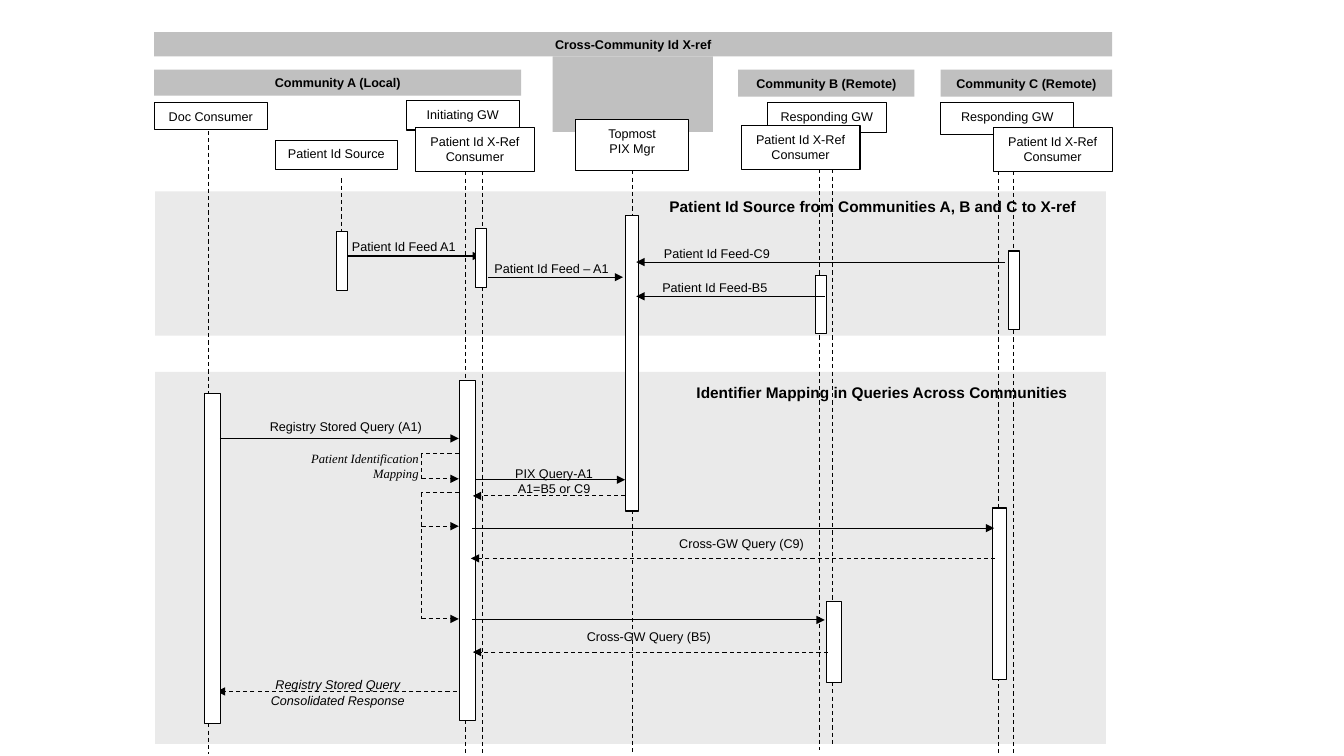
from dataclasses import dataclass

from lxml import etree
from pptx import Presentation
from pptx.dml.color import RGBColor
from pptx.enum.dml import MSO_LINE
from pptx.enum.shapes import MSO_CONNECTOR, MSO_SHAPE
from pptx.enum.text import MSO_ANCHOR, PP_ALIGN
from pptx.oxml.ns import qn
from pptx.util import Pt

RECT = MSO_SHAPE.RECTANGLE
STRAIGHT = MSO_CONNECTOR.STRAIGHT
DASH = MSO_LINE.DASH
TOP, MIDDLE = MSO_ANCHOR.TOP, MSO_ANCHOR.MIDDLE
CENTER, RIGHT = PP_ALIGN.CENTER, PP_ALIGN.RIGHT
BOTTOM = 2  # connection site of a rectangle
PX = 9144  # 100 px to the inch


@dataclass(frozen=True)
class Theme:
    ink: RGBColor = RGBColor(0, 0, 0)
    paper: RGBColor = RGBColor(255, 255, 255)
    band: RGBColor = RGBColor(0xC0, 0xC0, 0xC0)
    zone: RGBColor = RGBColor(0xEA, 0xEA, 0xEA)
    sans: str = "Arial"
    serif: str = "Times New Roman"
    small: Pt = Pt(9)
    title: Pt = Pt(11)
    line: Pt = Pt(0.75)


THEME = Theme()


def px(*sizes):
    return [size * PX for size in sizes]


def write(shape, text, size=THEME.small, face=THEME.sans, bold=False,
          slant=False, align=CENTER, anchor=TOP):
    frame = shape.text_frame
    frame.word_wrap = True
    frame.vertical_anchor = anchor
    frame.margin_left, frame.margin_right = px(10, 10)
    frame.margin_top, frame.margin_bottom = px(6, 0) if anchor == TOP else (0, 0)
    for index, words in enumerate(text.split("\n")):
        para = frame.add_paragraph() if index else frame.paragraphs[0]
        para.alignment = align
        run = para.add_run()
        run.text = words
        font = run.font
        font.size, font.name = size, face
        font.bold, font.italic = bold, slant
        font.color.rgb = THEME.ink


def block(slide, place, fill, edge=False):
    shape = slide.shapes.add_shape(RECT, *px(*place))
    shape.shadow.inherit = False
    shape.fill.solid()
    shape.fill.fore_color.rgb = fill
    if edge:
        shape.line.color.rgb = THEME.ink
        shape.line.width = THEME.line
    else:
        shape.line.fill.background()
    return shape


def band(slide, text, *place):
    write(block(slide, place, THEME.band), text, bold=True, anchor=MIDDLE)


def box(slide, text, *place):
    shape = block(slide, place, THEME.paper, edge=True)
    write(shape, text)
    return shape


def label(slide, text, *place, **style):
    write(slide.shapes.add_textbox(*px(*place)), text, **style)


def stroke(slide, x1, y1, x2, y2, dashed=False, arrow=False):
    line = slide.shapes.add_connector(STRAIGHT, *px(x1, y1, x2, y2))
    line.line.color.rgb = THEME.ink
    line.line.width = THEME.line
    if dashed:
        line.line.dash_style = DASH
    if arrow:
        outline = line.line._get_or_add_ln()
        etree.SubElement(outline, qn("a:tailEnd"), type="triangle")
    etree.SubElement(line._element.spPr, qn("a:effectLst"))
    return line


def message(slide, start, end, y, dashed=False):
    stroke(slide, start, y, end, y, dashed, arrow=True)


def loop(slide, top, *ends):
    left, right = 418, 455
    stroke(slide, right, top, left, top, dashed=True)
    for end in ends:
        stroke(slide, left, top, left, end, dashed=True)
        message(slide, left, right, end, dashed=True)


def main():
    deck = Presentation()
    deck.slide_width, deck.slide_height = px(1333, 750)
    slide = deck.slides.add_slide(deck.slide_layouts[6])

    # Grey zones and header bands
    for top, height in ((190, 143), (369, 369)):
        block(slide, (154, top, 943, height), THEME.zone)
    block(slide, (548, 56, 159, 75), THEME.band)
    band(slide, "Cross-Community Id X-ref", 153, 32, 950, 24)
    band(slide, "Community A (Local)", 153, 69, 364, 26)
    band(slide, "Community B (Remote)", 732, 69, 175, 27)
    band(slide, "Community C (Remote)", 933, 69, 170, 27)

    # Actors
    box(slide, "Doc Consumer", 153, 102, 112, 27)
    box(slide, "Patient Id Source", 273, 139, 121, 29)
    box(slide, "Initiating GW", 403, 100, 112, 29)
    box(slide, "Responding GW", 761, 102, 118, 29)
    box(slide, "Responding GW", 933, 102, 132, 31)
    for left, top in ((412, 127), (735, 125), (985, 127)):
        box(slide, "Patient Id X-Ref Consumer", left, top, 118, 43)
    topmost = box(slide, "Topmost\nPIX Mgr", 571, 119, 112, 50)

    # Lifelines
    for x, top, end in ((207, 130, 748), (339, 177, 269), (462, 170, 750),
                        (479, 170, 749), (813, 168, 744), (826, 168, 741),
                        (990, 170, 749), (1005, 170, 747)):
        stroke(slide, x, top, x, end, dashed=True)
    stem = stroke(slide, 627, 169, 627, 749, dashed=True)
    stem.begin_connect(topmost, BOTTOM)

    # Messages that run beneath the bars
    message(slide, 345, 477, 254)
    message(slide, 469, 620, 476)
    message(slide, 453, 215, 686, dashed=True)

    # Activation bars
    for place in ((334, 230, 11, 58), (472, 227, 11, 58), (809, 273, 11, 58),
                  (1000, 249, 11, 78), (620, 214, 13, 293),
                  (203, 390, 16, 328), (456, 378, 16, 337),
                  (984, 504, 14, 170), (820, 597, 15, 80)):
        block(slide, place, THEME.paper, edge=True)

    # Messages above the bars
    for start, end, y in ((484, 618, 275), (997, 631, 260), (818, 631, 294),
                          (218, 455, 435), (468, 986, 524), (468, 818, 615)):
        message(slide, start, end, y)
    for start, end, y in ((620, 469, 492), (987, 467, 554), (821, 469, 647)):
        message(slide, start, end, y, dashed=True)
    loop(slide, 450, 475)
    loop(slide, 489, 522, 614)

    # Zone titles
    label(slide, "Patient Id Source from Communities A, B and C to X-ref",
          633, 190, 466, 28, size=THEME.title, bold=True)
    label(slide, "Identifier Mapping in Queries Across Communities",
          653, 374, 444, 33, size=THEME.title, bold=True)

    # Message labels
    label(slide, "Patient Id Feed A1", 334, 231, 133, 26)
    label(slide, "Patient Id Feed – A1", 466, 253, 162, 25)
    label(slide, "Patient Id Feed-C9", 630, 238, 162, 25)
    label(slide, "Patient Id Feed-B5", 628, 272, 162, 25)
    label(slide, "Registry Stored Query (A1)", 237, 410, 212, 44)
    label(slide, "Patient Identification Mapping", 269, 441, 156, 62,
          face=THEME.serif, slant=True, align=RIGHT)
    label(slide, "PIX Query-A1\nA1=B5 or C9", 494, 456, 111, 47)
    label(slide, "Cross-GW Query (C9)", 657, 526, 157, 26)
    label(slide, "Cross-GW Query (B5)", 567, 618, 153, 25)
    label(slide, "Registry Stored Query\nConsolidated Response",
          240, 666, 190, 42, slant=True)

    deck.save("out.pptx")


if __name__ == "__main__":
    main()
